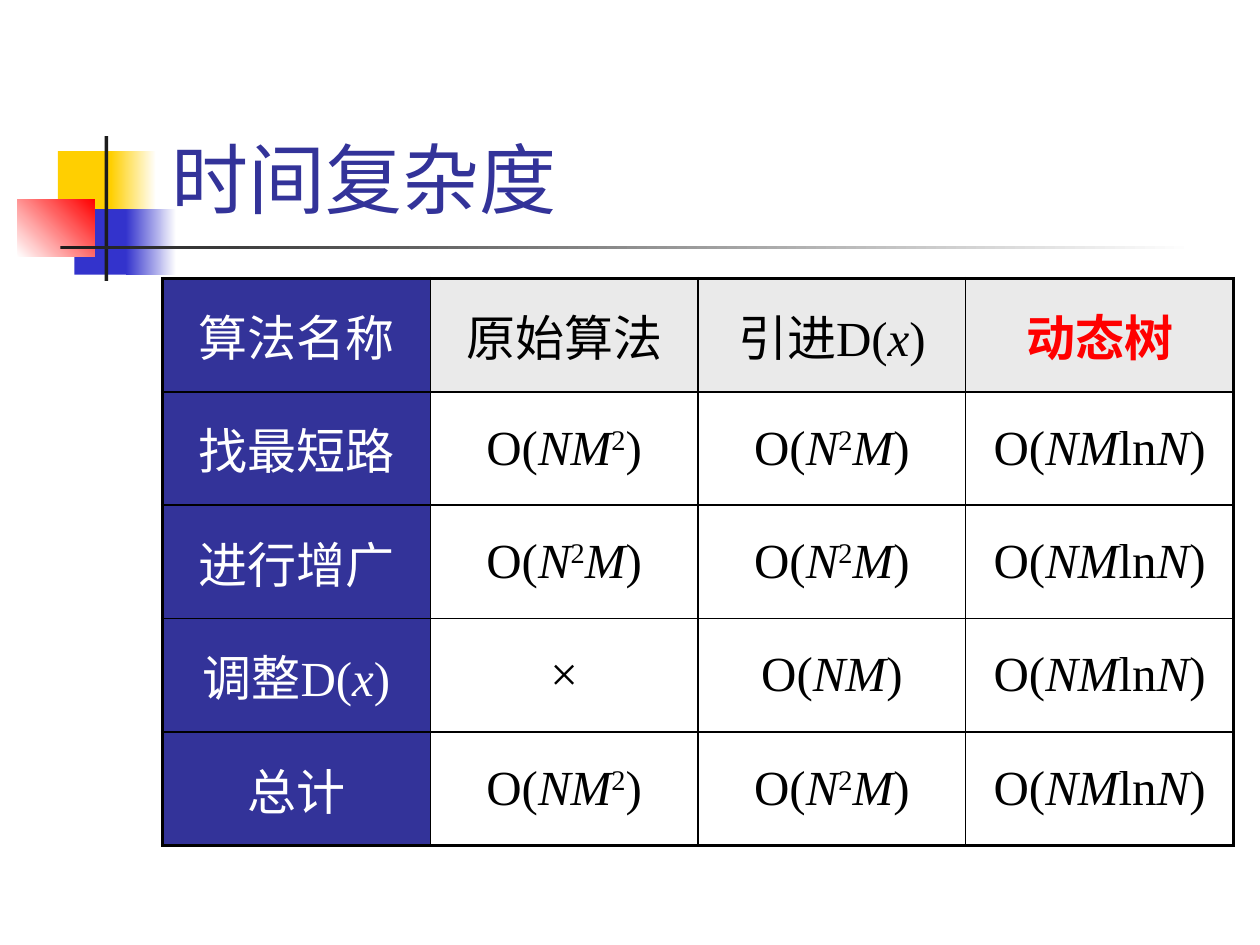
import itertools

import pptx
import pptx.dml.color
import pptx.enum.shapes
import pptx.enum.text
import pptx.oxml.ns
import pptx.util
from lxml import etree
from pptx.util import Inches

COLORS = {
    "yellow": "FFCF01", "blue": "3333CC", "red": "FF0000", "dark": "1C1C1C",
    "white": "FFFFFF", "black": "000000", "navy": "333399", "gray": "EAEAEA",
}
FONT = "Times New Roman"


def rgb(name):
    return pptx.dml.color.RGBColor.from_string(COLORS[name])


def add_border(cell, side, width):
    line = etree.SubElement(cell._tc.get_or_add_tcPr(), pptx.oxml.ns.qn(f"a:ln{side}"),
                            w=str(pptx.util.Pt(width)))
    fill = etree.SubElement(line, pptx.oxml.ns.qn("a:solidFill"))
    etree.SubElement(fill, pptx.oxml.ns.qn("a:srgbClr"), val=COLORS["black"])


presentation = pptx.Presentation()
presentation.slide_width = Inches(10)
presentation.slide_height = Inches(7.5)
slide = presentation.slides.add_slide(presentation.slide_layouts[6])

# Decorative blocks: left, top, width, height, colours, gradient angle
blocks = [
    (0.46, 1.2, 0.48, 0.52, ["yellow"], 0),
    (0.88, 1.2, 0.36, 0.52, ["yellow", "white"], 0),
    (0.59, 1.66, 0.46, 0.52, ["blue"], 0),
    (1, 1.66, 0.4, 0.52, ["blue", "white"], 0),
    (0.14, 1.58, 0.61, 0.46, ["white", "red"], 45),
    (0.83, 1.08, 0.03, 1.15, ["dark"], 0),
    (0.48, 1.95, 9, 0.03, ["dark", "white"], 0),
]
for left, top, width, height, colors, angle in blocks:
    shape = slide.shapes.add_shape(pptx.enum.shapes.MSO_SHAPE.RECTANGLE, Inches(left),
                                   Inches(top), Inches(width), Inches(height))
    shape.shadow.inherit = False
    shape.line.fill.background()
    if len(colors) == 1:
        shape.fill.solid()
        shape.fill.fore_color.rgb = rgb(colors[0])
    else:
        shape.fill.gradient()
        shape.fill.gradient_angle = angle
        for stop, color in zip(shape.fill.gradient_stops, colors):
            stop.color.rgb = rgb(color)

# Title
title = slide.shapes.add_textbox(Inches(1.26), Inches(0.23), Inches(8.52), Inches(1.6))
title.text_frame.word_wrap = True
title.text_frame.vertical_anchor = pptx.enum.text.MSO_ANCHOR.BOTTOM
paragraph = title.text_frame.paragraphs[0]
paragraph.text = "时间复杂度"
paragraph.font.name = FONT
paragraph.font.size = pptx.util.Pt(44)
paragraph.font.color.rgb = rgb("navy")

# Complexity table: variables are italic, digits are exponents
rows = [
    ["算法名称", "原始算法", "引进D(x)", "动态树"],
    ["找最短路", "O(NM2)", "O(N2M)", "O(NMlnN)"],
    ["进行增广", "O(N2M)", "O(N2M)", "O(NMlnN)"],
    ["调整D(x)", "×", "O(NM)", "O(NMlnN)"],
    ["总计", "O(NM2)", "O(N2M)", "O(NMlnN)"],
]
last_row, last_column = len(rows) - 1, len(rows[0]) - 1
table = slide.shapes.add_table(len(rows), len(rows[0]), Inches(1.29), Inches(2.21),
                               Inches(8.5), Inches(4.5)).table
table.first_row = False
table.horz_banding = False

for row, texts in enumerate(rows):
    for column, text in enumerate(texts):
        cell = table.cell(row, column)
        cell.vertical_anchor = pptx.enum.text.MSO_ANCHOR.MIDDLE

        # Heavy outer frame, thin inner lines
        outer_sides = {"L": column == 0, "R": column == last_column,
                       "T": row == 0, "B": row == last_row}
        for side, is_outer in outer_sides.items():
            add_border(cell, side, 2.25 if is_outer else 1)

        # Header column and header row
        is_highlight = row == 0 and column == last_column
        if column == 0 or row == 0:
            cell.fill.solid()
            cell.fill.fore_color.rgb = rgb("navy" if column == 0 else "gray")
        else:
            cell.fill.background()

        paragraph = cell.text_frame.paragraphs[0]
        paragraph.alignment = pptx.enum.text.PP_ALIGN.CENTER
        paragraph.space_before = pptx.util.Pt(5.6)
        paragraph.font.name = FONT
        paragraph.font.size = pptx.util.Pt(28)
        paragraph.font.bold = is_highlight
        paragraph.font.color.rgb = rgb(
            "red" if is_highlight else "white" if column == 0 else "black")
        for (is_variable, is_exponent), letters in itertools.groupby(
                text, lambda letter: (letter in "NMx", letter.isdigit())):
            run = paragraph.add_run()
            run.text = "".join(letters)
            if is_variable:
                run.font.italic = True
            if is_exponent:
                run._r.get_or_add_rPr().set("baseline", "30000")

presentation.save("out.pptx")
